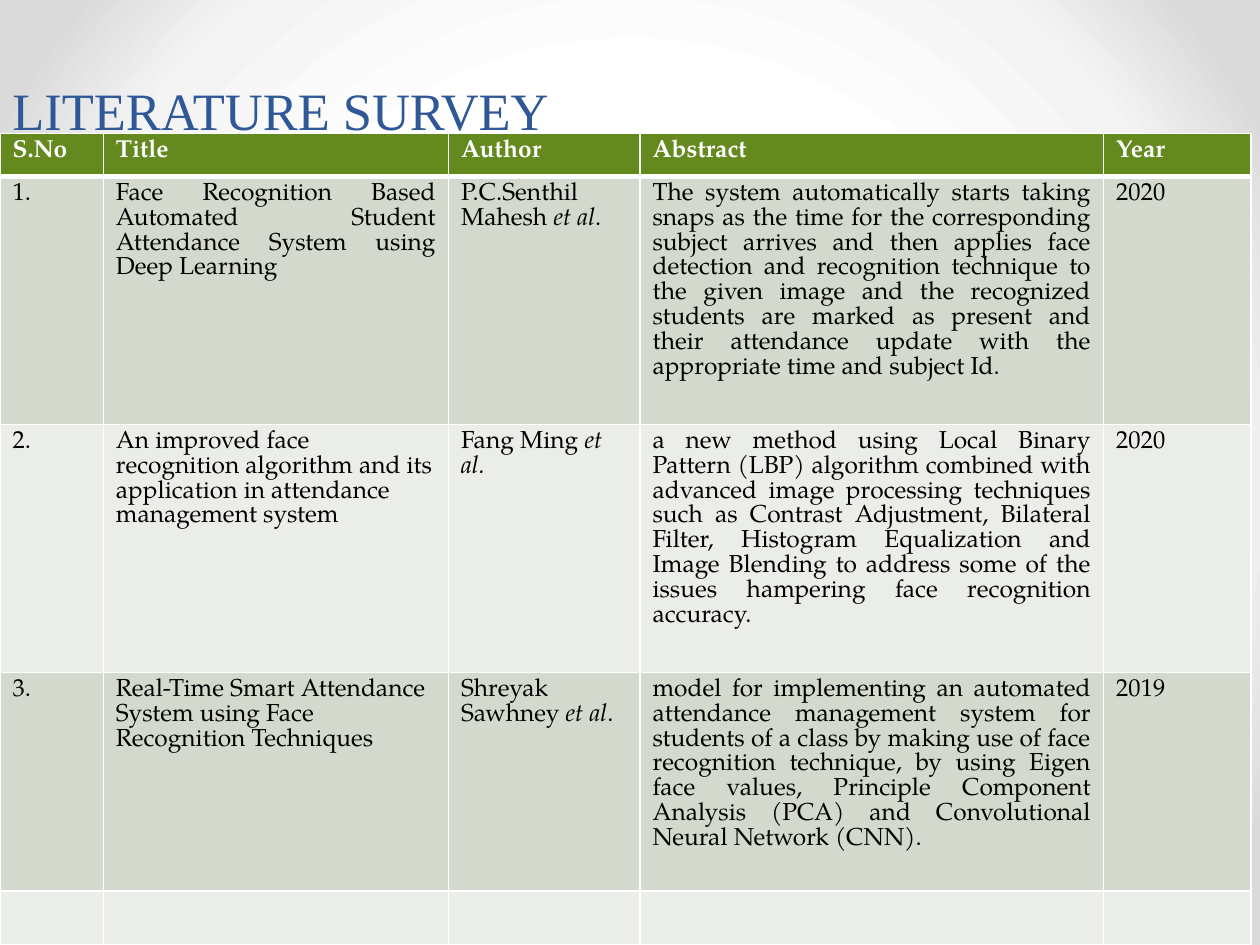
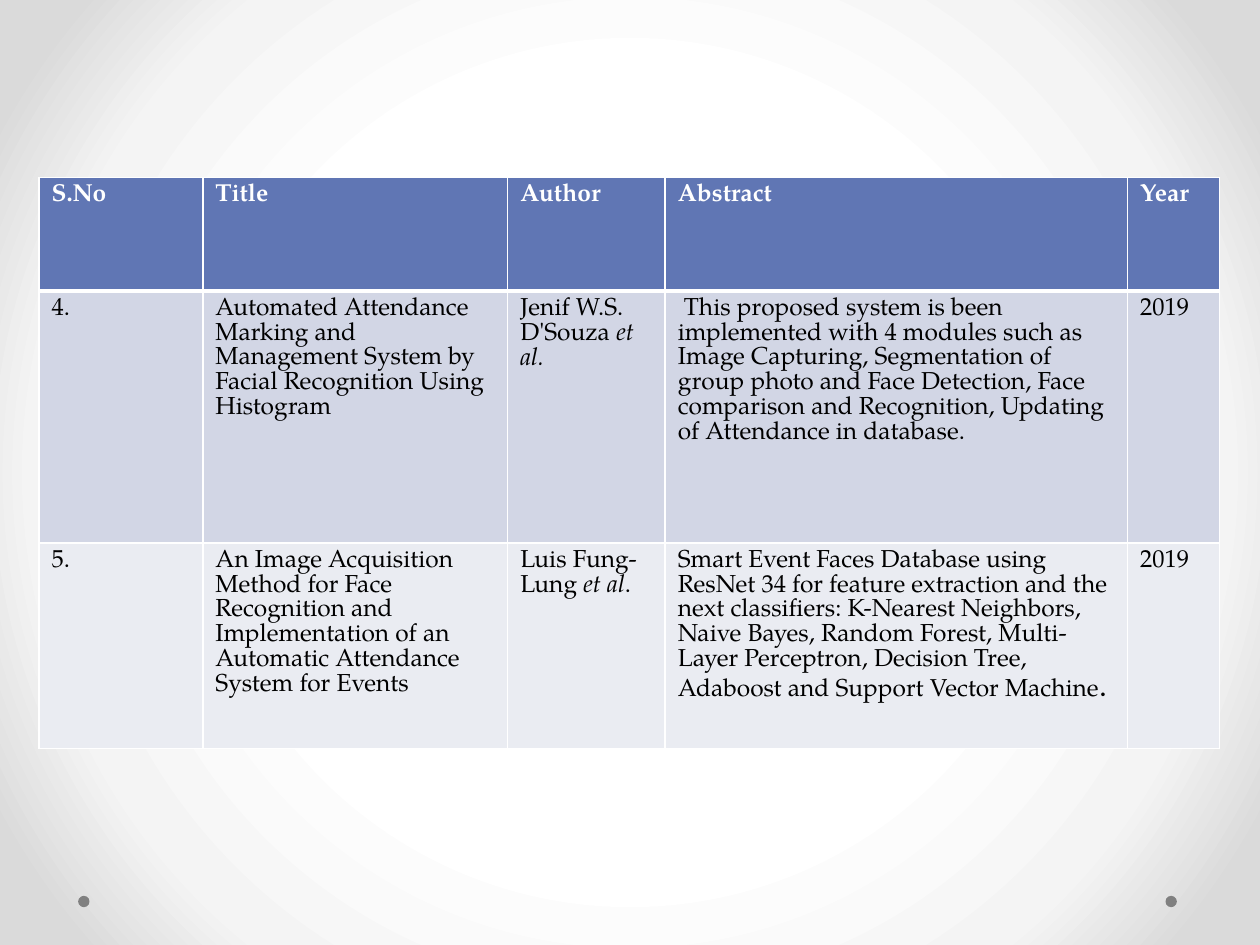
"""Build two literature survey slides, each with a table of papers."""
import dataclasses
import typing

import lxml.etree
import pptx
import pptx.dml.color
import pptx.enum.shapes
import pptx.enum.text
import pptx.oxml.ns
import pptx.util

Inches = pptx.util.Inches
Pt = pptx.util.Pt
qn = pptx.oxml.ns.qn
RGB = pptx.dml.color.RGBColor.from_string
JUSTIFY = pptx.enum.text.PP_ALIGN.JUSTIFY


@dataclasses.dataclass(frozen=True)
class Theme:
    title_font: str = "Times New Roman"
    table_font: str = "TeX Gyre Pagella"
    title_size: int = 30
    title_leading: int = 58
    table_size: int = 14
    stop_size: int = 18
    title: str = "2F5897"
    white: str = "FFFFFF"
    black: str = "000000"
    dot: str = "808080"
    backdrop: tuple = ((50, "FFFFFF"), (76, "F4F4F4"), (92, "DADADA"))
    thin: int = 1
    thick: int = 3


THEME = Theme()


class Span(typing.NamedTuple):
    text: str
    italic: bool = False
    size: int = THEME.table_size


class Cell(typing.NamedTuple):
    spans: tuple[Span, ...]
    justified: bool = False


class Palette(typing.NamedTuple):
    header: str
    bands: tuple[str, str]


@dataclasses.dataclass(frozen=True)
class Survey:
    left: float
    top: float
    widths: tuple[float, ...]
    heights: tuple[float, ...]
    palette: Palette
    papers: tuple[tuple[Cell, ...], ...]
    title: str = ""


def plain(text: str, justified: bool = False) -> Cell:
    return Cell((Span(text),), justified)


def author(name: str, upright_stop: bool = True) -> Cell:
    if upright_stop:
        return Cell((Span(name + " "), Span("et al", True), Span(".")))
    return Cell((Span(name + " "), Span("et al.", True)))


HEADINGS = tuple(plain(text) for text in ("S.No", "Title", "Author", "Abstract", "Year"))
GREEN = Palette("63891F", ("D3DACD", "EAEDE8"))
BLUE = Palette("6076B4", ("D2D6E5", "EAECF2"))

SURVEYS = (
    Survey(0, 1.06, (0.82, 2.74, 1.52, 3.68, 1.17), (0.34, 1.84, 1.84, 1.63, 0.43), GREEN, (
        (plain("1."),
         plain("Face Recognition Based Automated Student Attendance System using "
               "Deep Learning ", True),
         author("P.C.Senthil Mahesh"),
         plain("The system automatically starts taking snaps as the time for the "
               "corresponding subject arrives and then applies face detection and "
               "recognition technique to the given image and the recognized students "
               "are marked as present and their attendance update with the "
               "appropriate time and subject Id.", True),
         plain("2020")),
        (plain("2."),
         plain("An improved face recognition algorithm and its application in "
               "attendance management system"),
         author("Fang Ming", False),
         plain("a new method using Local Binary Pattern (LBP) algorithm combined with "
               "advanced image processing techniques such as Contrast Adjustment, "
               "Bilateral Filter, Histogram Equalization and Image Blending to address "
               "some of the issues hampering face recognition accuracy.", True),
         plain("2020")),
        (plain("3."),
         plain("Real-Time Smart Attendance System using Face Recognition Techniques"),
         author("Shreyak Sawhney"),
         plain("model for implementing an automated attendance management system for "
               "students of a class by making use of face recognition technique, by "
               "using Eigen face values, Principle Component Analysis (PCA) and "
               "Convolutional Neural Network (CNN).", True),
         plain("2019")),
        (Cell(()),) * len(HEADINGS),
    ), "LITERATURE SURVEY"),
    Survey(0.31, 1.41, (1.3, 2.42, 1.25, 3.67, 0.73), (0.9, 2, 1.63), BLUE, (
        (plain("4."),
         plain("Automated Attendance Marking and Management System by Facial "
               "Recognition Using Histogram"),
         author("Jenif W.S. D'Souza", False),
         plain(" This proposed system is been implemented with 4 modules such as Image "
               "Capturing, Segmentation of group photo and Face Detection, Face "
               "comparison and Recognition, Updating of Attendance in database."),
         plain("2019")),
        (plain("5."),
         plain("An Image Acquisition Method for Face Recognition and Implementation "
               "of an Automatic Attendance System for Events"),
         author("Luis Fung-Lung"),
         Cell((Span("Smart Event Faces Database using ResNet 34 for feature extraction "
                    "and the next classifiers: K-Nearest Neighbors, Naive Bayes, Random "
                    "Forest, Multi-Layer Perceptron, Decision Tree, Adaboost and "
                    "Support Vector Machine"),
               Span(".", size=THEME.stop_size))),
         plain("2019")),
    )),
)


def add_span(para, text: str, color: str, formats: dict[str, typing.Any]) -> None:
    run = para.add_run()
    run.text = text
    for name, value in formats.items():
        setattr(run.font, name, value)
    run.font.color.rgb = RGB(color)


def paint_backdrop(master) -> None:
    master.background.fill.gradient()
    gradient = master.element.find(".//" + qn("p:bgPr")).find(qn("a:gradFill"))
    for child in list(gradient):
        gradient.remove(child)
    stops = lxml.etree.SubElement(gradient, qn("a:gsLst"))
    for position, color in THEME.backdrop:
        stop = lxml.etree.SubElement(stops, qn("a:gs"), pos=str(position * 1000))
        lxml.etree.SubElement(stop, qn("a:srgbClr"), val=color)
    circle = lxml.etree.SubElement(gradient, qn("a:path"), path="circle")
    lxml.etree.SubElement(circle, qn("a:fillToRect"), dict.fromkeys("ltrb", "50000"))


def add_dots(page) -> None:
    for left in (9.25, 0.62):
        dot = page.shapes.add_shape(pptx.enum.shapes.MSO_SHAPE.OVAL, Inches(left),
                                    Inches(7.11), Inches(0.09), Inches(0.09))
        dot.shadow.inherit = False
        dot.fill.solid()
        dot.fill.fore_color.rgb = RGB(THEME.dot)
        dot.line.fill.background()


def add_title(page, text: str) -> None:
    box = page.shapes.add_textbox(0, 0, Inches(9.5), Inches(1.17))
    frame = box.text_frame
    frame.word_wrap = True
    frame.vertical_anchor = pptx.enum.text.MSO_ANCHOR.BOTTOM
    para = frame.paragraphs[0]
    para.line_spacing = Pt(THEME.title_leading)
    add_span(para, text, THEME.title,
             {"name": THEME.title_font, "size": Pt(THEME.title_size)})


def add_borders(cell, bottom: int) -> None:
    properties = cell._tc.get_or_add_tcPr()
    widths = {"lnL": THEME.thin, "lnR": THEME.thin, "lnT": THEME.thin, "lnB": bottom}
    for index, (side, width) in enumerate(widths.items()):
        line = lxml.etree.Element(qn("a:" + side), w=str(Pt(width)))
        fill = lxml.etree.SubElement(line, qn("a:solidFill"))
        lxml.etree.SubElement(fill, qn("a:srgbClr"), val=THEME.white)
        properties.insert(index, line)


def fill_cell(cell, content: Cell, fill: str, header: bool) -> None:
    cell.fill.solid()
    cell.fill.fore_color.rgb = RGB(fill)
    para = cell.text_frame.paragraphs[0]
    if content.justified:
        para.alignment = JUSTIFY
    for span in content.spans:
        add_span(para, span.text, THEME.white if header else THEME.black,
                 {"name": THEME.table_font, "size": Pt(span.size),
                  "bold": header, "italic": span.italic})


def add_survey_table(page, survey: Survey) -> None:
    rows = (HEADINGS,) + survey.papers
    table = page.shapes.add_table(
        len(rows), len(HEADINGS), Inches(survey.left), Inches(survey.top),
        Inches(sum(survey.widths)), Inches(sum(survey.heights))).table
    for column, width in zip(table.columns, survey.widths):
        column.width = Inches(width)
    for index, (contents, height) in enumerate(zip(rows, survey.heights)):
        table.rows[index].height = Inches(height)
        header = index == 0
        fill = survey.palette.header if header else survey.palette.bands[(index - 1) % 2]
        for cell, content in zip(table.rows[index].cells, contents):
            fill_cell(cell, content, fill, header)
            add_borders(cell, THEME.thick if index == 0 else THEME.thin)
            if index == 1:
                cell._tc.tcPr.find(qn("a:lnT")).set("w", str(Pt(THEME.thick)))


def main() -> None:
    deck = pptx.Presentation()
    deck.slide_width, deck.slide_height = Inches(10), Inches(7.5)
    paint_backdrop(deck.slide_master)
    for survey in SURVEYS:
        page = deck.slides.add_slide(deck.slide_layouts[6])
        add_dots(page)
        if survey.title:
            add_title(page, survey.title)
        add_survey_table(page, survey)
    deck.save("out.pptx")


if __name__ == "__main__":
    main()
